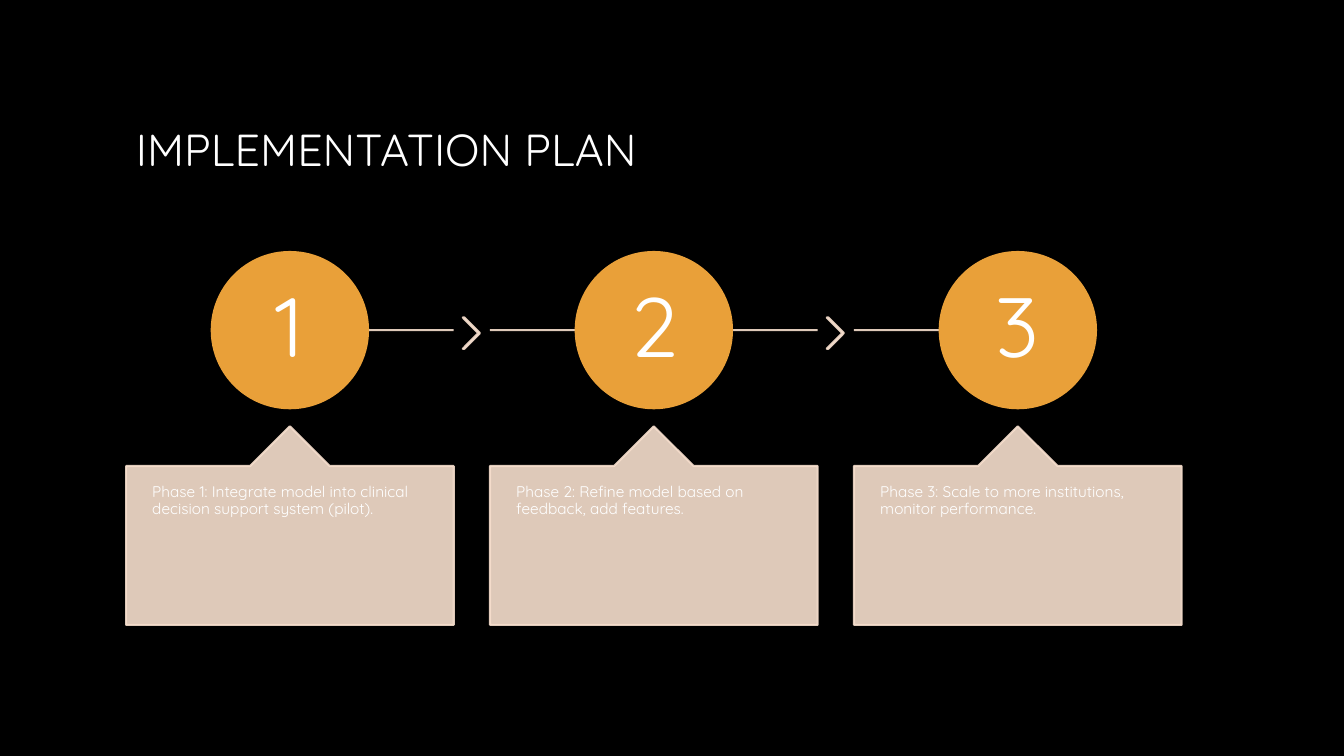
from dataclasses import dataclass

from lxml import etree
from pptx import Presentation
from pptx.dml.color import RGBColor
from pptx.enum.shapes import MSO_CONNECTOR, MSO_SHAPE
from pptx.enum.text import MSO_ANCHOR, PP_ALIGN
from pptx.oxml.ns import qn
from pptx.util import Inches, Pt

LINE = MSO_CONNECTOR.STRAIGHT
OVAL, CALLOUT, CHEVRON = MSO_SHAPE.OVAL, MSO_SHAPE.UP_ARROW_CALLOUT, MSO_SHAPE.CHEVRON
TOP, MIDDLE = MSO_ANCHOR.TOP, MSO_ANCHOR.MIDDLE
LEFT, CENTER = PP_ALIGN.LEFT, PP_ALIGN.CENTER


@dataclass(frozen=True)
class Theme:
    back: RGBColor = RGBColor(0x00, 0x00, 0x00)
    text: RGBColor = RGBColor(0xFF, 0xFF, 0xFF)
    gold: RGBColor = RGBColor(0xE9, 0xA0, 0x39)
    sand: RGBColor = RGBColor(0xF7, 0xDF, 0xCE)
    font: str = "Quicksand"
    title: int = 32
    digit: int = 60
    body: int = 11
    rule: float = 1.5
    alpha: int = 90


@dataclass(frozen=True)
class Phase:
    digit: str
    text: str


THEME = Theme()
PHASES = [
    Phase("1", "Phase 1: Integrate model into clinical decision support system (pilot)."),
    Phase("2", "Phase 2: Refine model based on feedback, add features."),
    Phase("3", "Phase 3: Scale to more institutions, monitor performance."),
]
START, STEP, CARD = 1.25, 3.61, 3.25
DISC, DISC_TOP = 1.55, 2.5
MID = DISC_TOP + DISC / 2


def fade(item) -> None:
    for color in item._element.spPr.iter(qn("a:srgbClr")):
        etree.SubElement(color, qn("a:alpha")).set("val", str(THEME.alpha * 1000))


def write(item, text: str, size: int, align: PP_ALIGN, anchor: MSO_ANCHOR,
          inset: tuple[float, float], space: float = 0.9) -> None:
    frame = item.text_frame
    frame.text = text
    frame.word_wrap = True
    frame.vertical_anchor = anchor
    frame.margin_left = frame.margin_right = Inches(inset[0])
    frame.margin_top = frame.margin_bottom = Inches(inset[1])
    para = frame.paragraphs[0]
    para.alignment = align
    para.line_spacing = space
    font = para.runs[0].font
    font.name, font.size = THEME.font, Pt(size)
    font.color.rgb = THEME.text


def add_form(slide, kind: MSO_SHAPE, box: tuple[float, float, float, float],
             color: RGBColor, adjust: tuple[float, ...] = ()):
    form = slide.shapes.add_shape(kind, *map(Inches, box))
    form.shadow.inherit = False
    form.fill.solid()
    form.fill.fore_color.rgb = form.line.color.rgb = color
    form.line.width = Pt(THEME.rule)
    for index, value in enumerate(adjust):
        form.adjustments[index] = value
    return form


def add_rule(slide, start: float, end: float) -> None:
    rule = slide.shapes.add_connector(LINE, Inches(start), Inches(MID), Inches(end), Inches(MID))
    rule.line.color.rgb = THEME.sand
    rule.line.width = Pt(THEME.rule)
    etree.SubElement(rule._element.spPr, qn("a:effectLst"))
    fade(rule)


def add_phase(slide, index: int, phase: Phase) -> None:
    left = START + index * STEP
    center = left + CARD / 2
    first, last = index == 0, index == len(PHASES) - 1
    add_rule(slide, center if first else left, center if last else left + CARD)
    if not last:
        fade(add_form(slide, CHEVRON, (left + 3.34, 3.15, 0.17, 0.31), THEME.sand, (0.9,)))
    disc = add_form(slide, OVAL, (center - DISC / 2, DISC_TOP, DISC, DISC), THEME.gold)
    write(disc, phase.digit, THEME.digit, CENTER, MIDDLE, (0.06, 0.06))
    card = add_form(slide, CALLOUT, (left, 4.23, CARD, 1.97), THEME.sand, (0.5, 0.2, 0.2, 1))
    fade(card)
    write(card, phase.text, THEME.body, LEFT, TOP, (0.26, 0.18))


def main() -> None:
    """Build the three-phase implementation plan slide."""
    deck = Presentation()
    deck.slide_width, deck.slide_height = Inches(13.33), Inches(7.5)
    slide = deck.slides.add_slide(deck.slide_layouts[6])
    slide.background.fill.solid()
    slide.background.fill.fore_color.rgb = THEME.back
    title = slide.shapes.add_textbox(Inches(START), Inches(0.67), Inches(10.83), Inches(1.61))
    write(title, "IMPLEMENTATION PLAN", THEME.title, LEFT, MIDDLE, (0.1, 0.05), 1.0)
    for index, phase in enumerate(PHASES):
        add_phase(slide, index, phase)
    deck.save("out.pptx")


if __name__ == "__main__":
    main()
